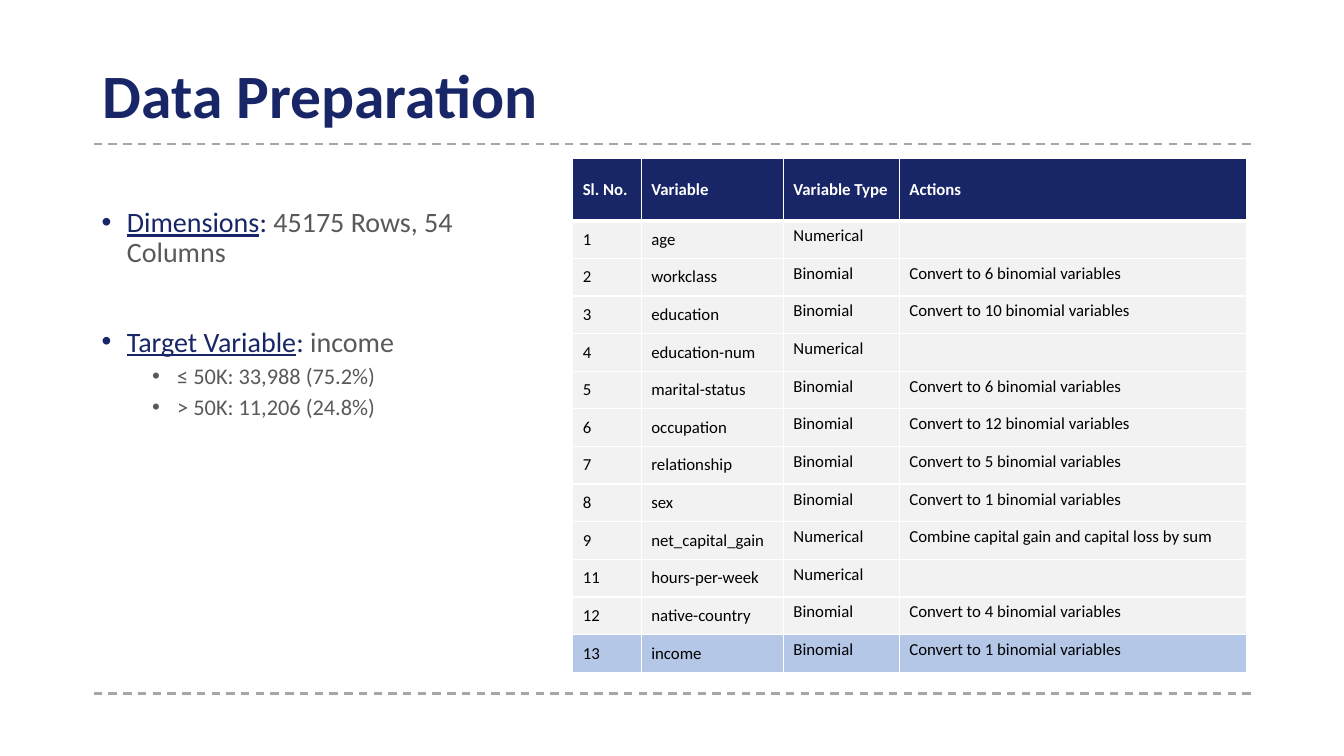
import lxml.etree
import pptx
import pptx.dml.color
import pptx.enum.dml
import pptx.enum.shapes
import pptx.enum.text
import pptx.oxml.ns
import pptx.util

RGBColor = pptx.dml.color.RGBColor
NAVY = RGBColor(0x18, 0x26, 0x67)
TEXT_GREY = RGBColor(0x59, 0x59, 0x59)
RULE_GREY = RGBColor(0xA6, 0xA6, 0xA6)
ROW_GREY = RGBColor(0xF2, 0xF2, 0xF2)
TARGET_BLUE = RGBColor(0xB4, 0xC7, 0xE7)
WHITE = RGBColor(0xFF, 0xFF, 0xFF)
BLACK = RGBColor(0x00, 0x00, 0x00)

FONT = "Calibri"
PIXELS_PER_INCH = 100
CELL_SIZE = 12
COLUMN_WIDTHS = (68, 141, 115, 344)
HEADER_HEIGHT = 62

HEADERS = ("Sl. No.", "Variable", "Variable Type", "Actions")
VARIABLES = (
    ("1", "age", "Numerical", ""),
    ("2", "workclass", "Binomial", "Convert to 6 binomial variables"),
    ("3", "education", "Binomial", "Convert to 10 binomial variables"),
    ("4", "education-num", "Numerical", ""),
    ("5", "marital-status", "Binomial", "Convert to 6 binomial variables"),
    ("6", "occupation", "Binomial", "Convert to 12 binomial variables"),
    ("7", "relationship", "Binomial", "Convert to 5 binomial variables"),
    ("8", "sex", "Binomial", "Convert to 1 binomial variables"),
    ("9", "net_capital_gain", "Numerical", "Combine capital gain and capital loss by sum"),
    ("11", "hours-per-week", "Numerical", ""),
    ("12", "native-country", "Binomial", "Convert to 4 binomial variables"),
    ("13", "income", "Binomial", "Convert to 1 binomial variables"),
)
FACTS = (
    ("Dimensions", " 45175 Rows, 54 Columns", ()),
    ("Target Variable", " income", ("≤ 50K: 33,988 (75.2%)", "> 50K: 11,206 (24.8%)")),
)


def px(length):
    return pptx.util.Emu(round(length * pptx.util.Inches(1) / PIXELS_PER_INCH))


def add_element(parent, tag, **attributes):
    return lxml.etree.SubElement(parent, pptx.oxml.ns.qn(tag), **attributes)


def write(paragraph, text, *, size, color, bold=False, underline=False):
    run = paragraph.add_run()
    run.text = text
    font = run.font
    font.name = FONT
    font.size = pptx.util.Pt(size)
    font.bold = bold
    font.underline = underline
    font.color.rgb = color


def add_text_frame(slide, left, top, width, height):
    frame = slide.shapes.add_textbox(px(left), px(top), px(width), px(height)).text_frame
    frame.word_wrap = True
    return frame


def add_title(slide, text, left, top, width, height):
    frame = add_text_frame(slide, left, top, width, height)
    frame.vertical_anchor = pptx.enum.text.MSO_ANCHOR.MIDDLE
    paragraph = frame.paragraphs[0]
    paragraph.line_spacing = 0.9
    write(paragraph, text, size=44, color=NAVY, bold=True)


def add_dashed_rule(slide, left, top, width):
    rule = slide.shapes.add_connector(
        pptx.enum.shapes.MSO_CONNECTOR.STRAIGHT, px(left), px(top), px(left + width), px(top))
    rule.line.color.rgb = RULE_GREY
    rule.line.width = pptx.util.Pt(1.5)
    rule.line.dash_style = pptx.enum.dml.MSO_LINE.DASH
    add_element(rule._element.spPr, "a:effectLst")


def add_bullet(frame, *, indent, space_before):
    """Start a bulleted paragraph, using the frame's empty first one if it is free."""
    paragraph = frame.paragraphs[0]
    if paragraph.runs:
        paragraph = frame.add_paragraph()
    paragraph.line_spacing = 0.9
    paragraph.space_before = pptx.util.Pt(space_before)
    properties = paragraph._p.get_or_add_pPr()
    properties.set("marL", str(px(indent)))
    properties.set("indent", str(px(-25)))
    add_element(properties, "a:buFont", typeface="Arial")
    add_element(properties, "a:buChar", char="•")
    return paragraph


def add_facts(slide, left, top, width, height):
    frame = add_text_frame(slide, left, top, width, height)
    for index, (label, value, details) in enumerate(FACTS):
        paragraph = add_bullet(frame, indent=25, space_before=42 if index else 0)
        write(paragraph, label, size=20, color=NAVY, underline=True)
        write(paragraph, ":", size=20, color=NAVY)
        write(paragraph, value, size=20, color=TEXT_GREY)
        for detail in details:
            paragraph = add_bullet(frame, indent=75, space_before=5)
            write(paragraph, detail, size=16, color=TEXT_GREY)


def add_border(cell, side, width):
    line = add_element(cell._tc.get_or_add_tcPr(), side, w=str(pptx.util.Pt(width)))
    fill = add_element(line, "a:solidFill")
    add_element(fill, "a:srgbClr", val=str(WHITE))


def fill_cell(cell, text, *, fill, color, centred, header):
    for side in ("a:lnL", "a:lnR", "a:lnT", "a:lnB"):
        add_border(cell, side, 3 if header and side == "a:lnB" else 1)
    cell.fill.solid()
    cell.fill.fore_color.rgb = fill
    if centred:
        cell.vertical_anchor = pptx.enum.text.MSO_ANCHOR.MIDDLE
    paragraph = cell.text_frame.paragraphs[0]
    if text:
        write(paragraph, text, size=CELL_SIZE, color=color, bold=header)
    else:
        # An empty cell keeps the small text size, so its row does not grow.
        add_element(paragraph._p, "a:endParaRPr", sz=str(CELL_SIZE * 100))


def add_variable_table(slide, left, top, height):
    rows = (HEADERS,) + VARIABLES
    table = slide.shapes.add_table(
        len(rows), len(HEADERS), px(left), px(top), px(sum(COLUMN_WIDTHS)), px(height)).table
    table.horz_banding = False
    for column, width in zip(table.columns, COLUMN_WIDTHS):
        column.width = px(width)
    body_height = px((height - HEADER_HEIGHT) / len(VARIABLES))
    for row_index, texts in enumerate(rows):
        header = row_index == 0
        target = row_index == len(VARIABLES)
        table.rows[row_index].height = px(HEADER_HEIGHT) if header else body_height
        fill = NAVY if header else TARGET_BLUE if target else ROW_GREY
        for column_index, text in enumerate(texts):
            fill_cell(table.cell(row_index, column_index), text, fill=fill,
                      color=WHITE if header else BLACK,
                      centred=header or column_index < 2, header=header)
    actions = table.cell(0, len(HEADERS) - 1).text_frame.paragraphs[0]
    actions.alignment = pptx.enum.text.PP_ALIGN.JUSTIFY


def add_data_preparation_slide(presentation):
    slide = presentation.slides.add_slide(presentation.slide_layouts[6])
    for top in (143, 688):
        add_dashed_rule(slide, 93, top, 1150)
    add_title(slide, "Data Preparation", 92, 52, 1150, 91)
    add_variable_table(slide, 568, 157, 510)
    add_facts(slide, 91, 202, 460, 474)


def main():
    presentation = pptx.Presentation()
    presentation.slide_width = px(1333)
    presentation.slide_height = px(750)
    add_data_preparation_slide(presentation)
    presentation.save("out.pptx")


if __name__ == "__main__":
    main()
